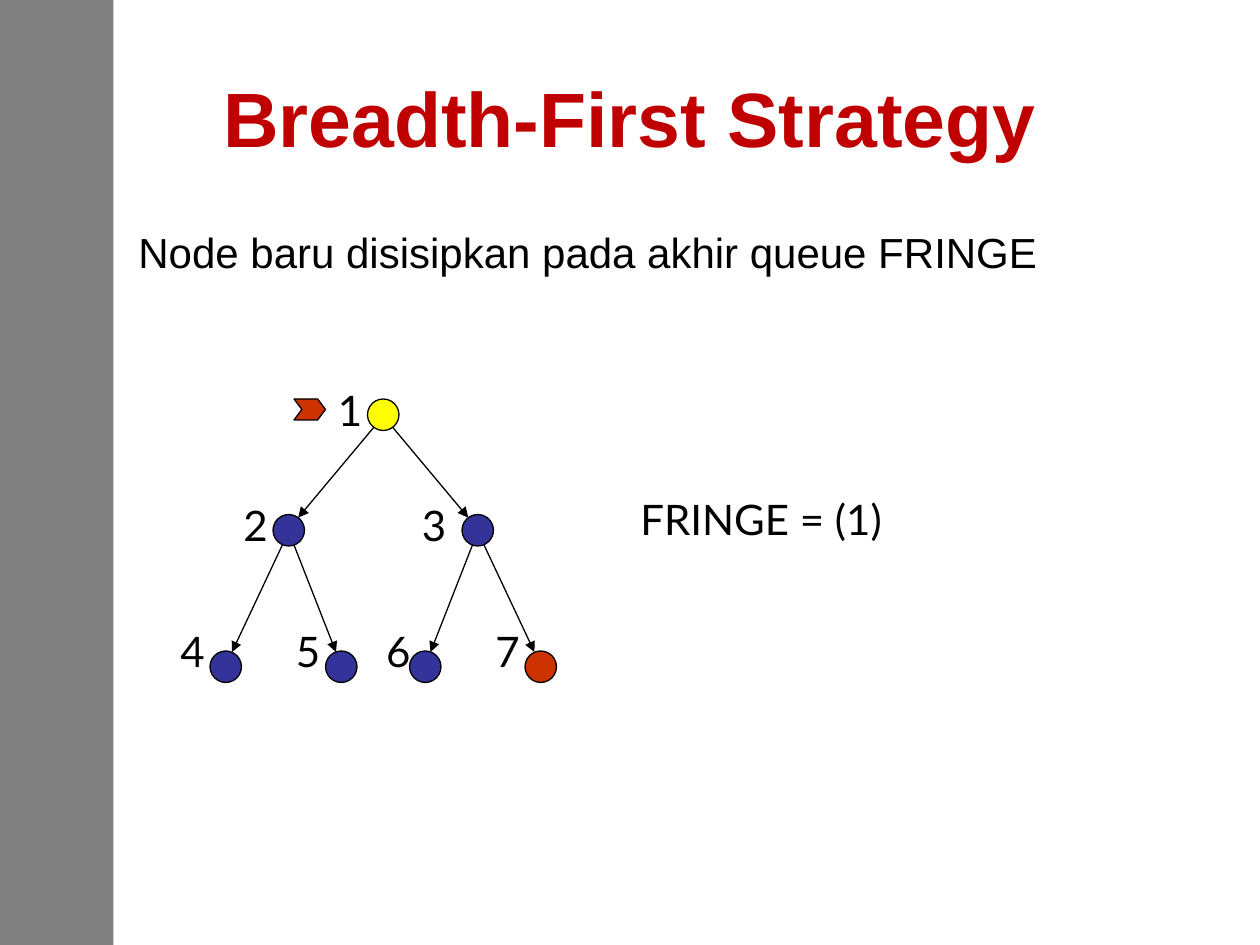
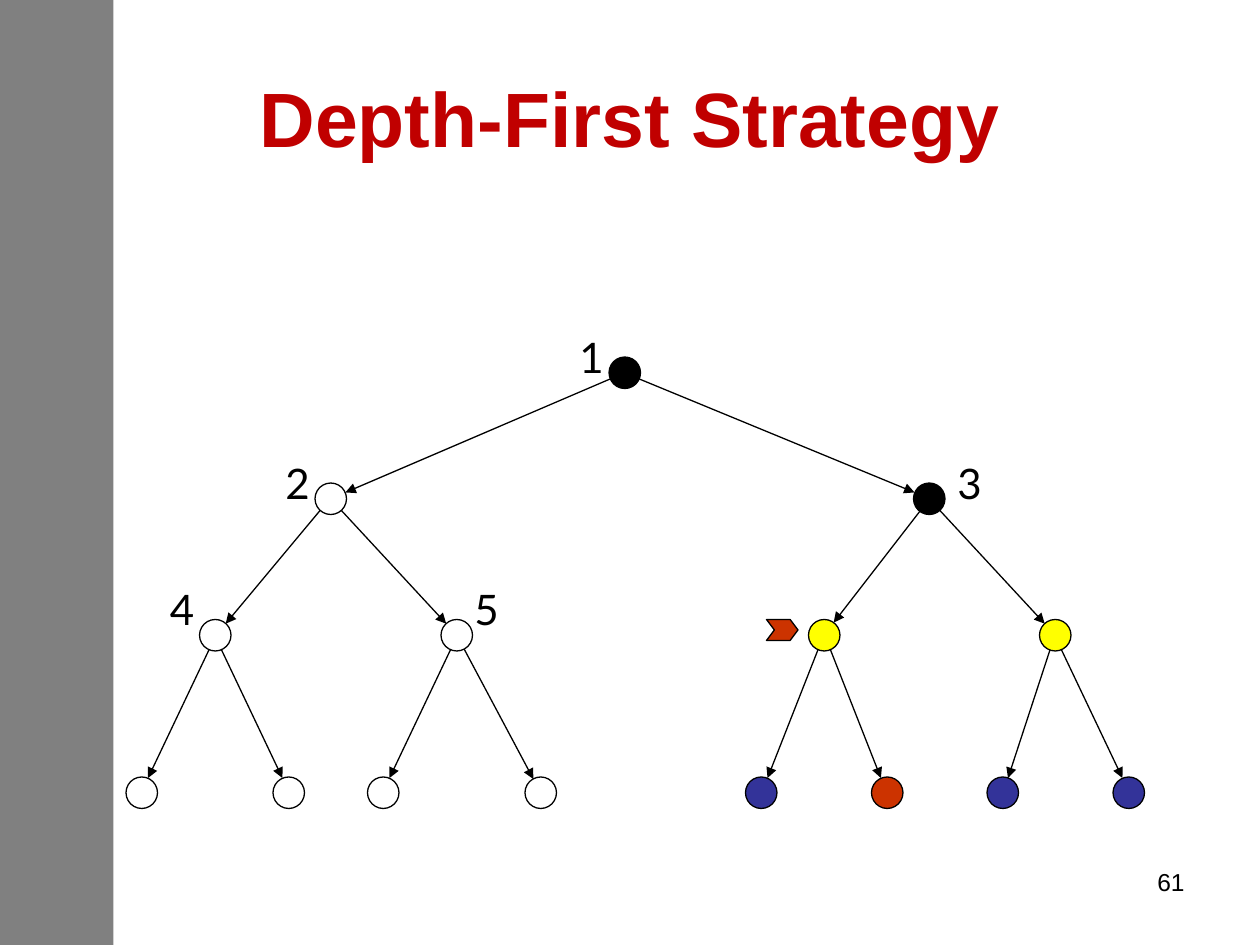
from dataclasses import dataclass
from math import hypot

from lxml import etree
from pptx import Presentation
from pptx.dml.color import RGBColor
from pptx.enum.shapes import MSO_CONNECTOR, MSO_SHAPE
from pptx.enum.text import MSO_ANCHOR, MSO_AUTO_SIZE, PP_ALIGN
from pptx.oxml.ns import qn
from pptx.shapes.autoshape import Shape
from pptx.slide import Slide
from pptx.text.text import TextFrame
from pptx.util import Emu, Pt

PX = 7620  # EMU in one px, 120 px to the inch
WIDTH, HEIGHT = 1200, 900
DOT = 30
RECT, OVAL, CHEVRON = MSO_SHAPE.RECTANGLE, MSO_SHAPE.OVAL, MSO_SHAPE.CHEVRON
STRAIGHT = MSO_CONNECTOR.STRAIGHT
LEFT, CENTER, RIGHT = PP_ALIGN.LEFT, PP_ALIGN.CENTER, PP_ALIGN.RIGHT
MIDDLE = MSO_ANCHOR.MIDDLE
FIXED, GROW = MSO_AUTO_SIZE.NONE, MSO_AUTO_SIZE.SHAPE_TO_FIT_TEXT
TITLE_ONLY = 5
SANS, LABEL = "Arial", "Lato"
COLORS = {
    "band": "808080",
    "title": "C00000",
    "black": "000000",
    "white": "FFFFFF",
    "blue": "333399",
    "yellow": "FFFF00",
    "red": "CC3300",
}


@dataclass
class Node:
    """A dot of a binary tree, with its label set off from its corner."""
    x: int
    y: int
    fill: str
    label: str = ""
    dx: int = -40
    dy: int = -30


BREADTH = [
    Node(350, 380, "yellow", "1", dy=-20),
    Node(260, 490, "blue", "2", dy=-20),
    Node(440, 490, "blue", "3", dx=-50, dy=-20),
    Node(200, 620, "blue", "4"),
    Node(310, 620, "blue", "5"),
    Node(390, 620, "blue", "6", dx=-34),
    Node(500, 620, "red", "7"),
]
LEAVES = {120: "white", 260: "white", 350: "white", 500: "white",
          710: "blue", 830: "red", 940: "blue", 1060: "blue"}
DEPTH = [
    Node(580, 340, "black", "1"),
    Node(300, 460, "white", "2"),
    Node(870, 460, "black", "3", dx=30),
    Node(190, 590, "white", "4", dy=-40),
    Node(420, 590, "white", "5", dx=20, dy=-40),
    Node(770, 590, "yellow"),
    Node(990, 590, "yellow"),
    *(Node(x, 740, fill) for x, fill in LEAVES.items()),
]


def px(*sizes: float) -> list[Emu]:
    return [Emu(round(size) * PX) for size in sizes]


def color(name: str) -> RGBColor:
    return RGBColor.from_string(COLORS[name])


def write(frame: TextFrame, text: str, size: int, face: str = SANS,
          align: PP_ALIGN = LEFT, tint: str = "black") -> None:
    frame.text = text
    line = frame.paragraphs[0]
    line.alignment = align
    line.font.size, line.font.name = Pt(size), face
    line.font.color.rgb = color(tint)


def add_text(slide: Slide, text: str, x: int, y: int, w: int, h: int,
             size: int = 24, align: PP_ALIGN = LEFT) -> None:
    frame = slide.shapes.add_textbox(*px(x, y, w, h)).text_frame
    frame.word_wrap = True
    write(frame, text, size, align=align)


def add_label(slide: Slide, text: str, x: int, y: int, w: int = 45) -> None:
    frame = slide.shapes.add_textbox(*px(x, y, w, 60)).text_frame
    frame.word_wrap, frame.auto_size = False, GROW
    write(frame, text, 24, LABEL)


def add_form(slide: Slide, kind: MSO_SHAPE, x: int, y: int, w: int, h: int,
             fill: str, edge: bool = True) -> Shape:
    form = slide.shapes.add_shape(kind, *px(x, y, w, h))
    form.shadow.inherit = False
    form.fill.solid()
    form.fill.fore_color.rgb = color(fill)
    if edge:
        form.line.color.rgb = color("black")
        form.line.width = Pt(0.75)
    else:
        form.line.fill.background()
    return form


def add_arrow(slide: Slide, start: Node, end: Node) -> None:
    """Point from the rim of one dot to the rim of the other."""
    run, drop = end.x - start.x, end.y - start.y
    part = DOT / 2 / hypot(run, drop)
    x, y = start.x + DOT / 2, start.y + DOT / 2
    arrow = slide.shapes.add_connector(STRAIGHT, *px(
        x + run * part, y + drop * part,
        x + run * (1 - part), y + drop * (1 - part)))
    arrow.line.color.rgb = color("black")
    arrow.line.width = Pt(0.75)
    tail = etree.SubElement(arrow.line._get_or_add_ln(), qn("a:tailEnd"))
    tail.set("type", "triangle")
    etree.SubElement(arrow._element.spPr, qn("a:effectLst"))


def add_tree(slide: Slide, nodes: list[Node]) -> None:
    """Draw nodes listed level by level, each row full."""
    for i, node in enumerate(nodes[1:], 1):
        add_arrow(slide, nodes[(i - 1) // 2], node)
    for node in nodes:
        add_form(slide, OVAL, node.x, node.y, DOT, DOT, node.fill)
        if node.label:
            add_label(slide, node.label, node.x + node.dx, node.y + node.dy)


def add_mark(slide: Slide, x: int, y: int) -> None:
    """Flag the node that is visited now."""
    mark = add_form(slide, CHEVRON, x, y, 30, 20, "red")
    mark.adjustments[0] = 0.375


def add_page(deck: Presentation, text: str) -> Slide:
    slide = deck.slides.add_slide(deck.slide_layouts[TITLE_ONLY])
    title = slide.shapes.title
    title.left, title.top, title.width, title.height = px(60, 36, 1080, 150)
    frame = title.text_frame
    frame.vertical_anchor, frame.auto_size = MIDDLE, FIXED
    write(frame, text, 44, align=CENTER, tint="title")
    frame.paragraphs[0].font.bold = True
    add_form(slide, RECT, 0, 0, 108, HEIGHT, "band", edge=False)
    return slide


def main() -> None:
    deck = Presentation()
    deck.slide_width, deck.slide_height = px(WIDTH, HEIGHT)

    slide = add_page(deck, "Breadth-First Strategy")
    add_text(slide, "Node baru disisipkan pada akhir queue FRINGE",
             120, 210, 1080, 594)
    add_tree(slide, BREADTH)
    add_label(slide, "FRINGE = (1)", 598, 464, 268)
    add_mark(slide, 280, 380)

    slide = add_page(deck, "Depth-First Strategy")
    add_tree(slide, DEPTH)
    add_mark(slide, 730, 590)
    add_text(slide, "61", 860, 820, 280, 62, size=14, align=RIGHT)

    deck.save("out.pptx")


if __name__ == "__main__":
    main()
